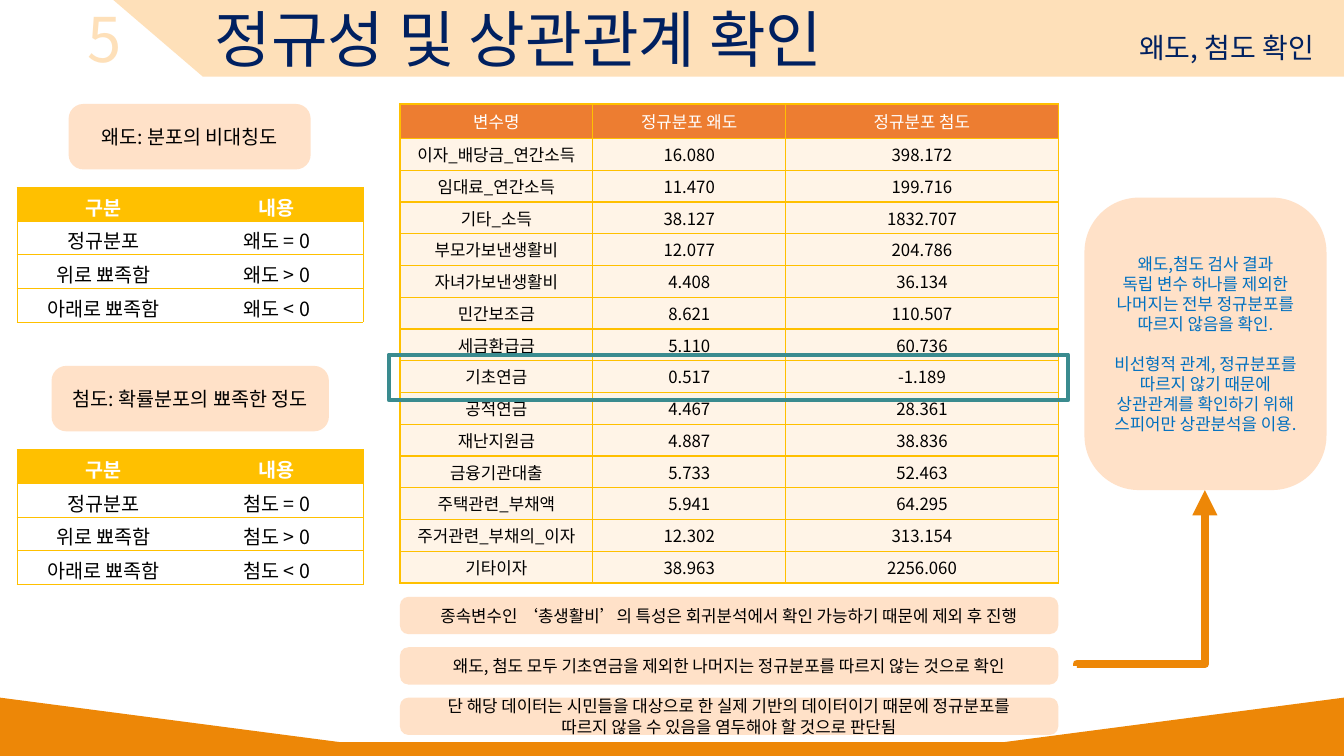
from dataclasses import dataclass

from lxml import etree
from pptx import Presentation
from pptx.dml.color import RGBColor
from pptx.enum import shapes, text
from pptx.oxml import ns
from pptx.util import Cm, Pt

FONT = "Noto Sans CJK KR"
NAVY, BLUE, BLACK, WHITE = "002060", "0070C0", "000000", "FFFFFF"
ORANGE, CREAM, PEACH, GOLD = "ED8707", "FEE0B9", "FFB577", "FFC000"
HEADER_ORANGE, CELL_CREAM, TEAL = "ED7D31", "FFF4E7", "3A8B8F"
SLIDE_WIDTH, SLIDE_HEIGHT = 33.87, 19.05
PANEL_LEFT, PANEL_WIDTH = 10.08, 16.59
SHAPE = shapes.MSO_SHAPE


@dataclass
class Box:
    left: float
    top: float
    width: float
    height: float

    def lengths(self) -> tuple:
        return Cm(self.left), Cm(self.top), Cm(self.width), Cm(self.height)


@dataclass
class Label:
    box: Box
    lines: list[str]
    size: int = 12
    color: str = BLACK
    gap_before: int | None = None


@dataclass
class Guide:
    measure: str
    top: float


def rgb(color: str) -> RGBColor:
    return RGBColor.from_string(color)


def sub(parent, tag: str, **attributes: str):
    return etree.SubElement(parent, ns.qn(tag), attributes)


def write(frame, lines: list[str], size: int, color: str, bold: bool = False) -> None:
    for index, line in enumerate(lines):
        paragraph = frame.paragraphs[0] if index == 0 else frame.add_paragraph()
        paragraph.text = line
        paragraph.alignment = text.PP_ALIGN.CENTER
        font = paragraph.font
        font.name, font.size, font.bold = FONT, Pt(size), bold
        font.color.rgb = rgb(color)
        sub(paragraph._p.pPr.find(ns.qn("a:defRPr")), "a:ea", typeface=FONT)


def add_shape(slide, kind, box: Box, fill: str | None, adjustment: float | None = None):
    shape = slide.shapes.add_shape(kind, *box.lengths())
    shape.shadow.inherit = False
    shape.line.fill.background()
    if fill:
        shape.fill.solid()
        shape.fill.fore_color.rgb = rgb(fill)
    else:
        shape.fill.background()
    if adjustment is not None:
        shape.adjustments[0] = adjustment
    return shape


def add_label(slide, label: Label) -> None:
    shape = add_shape(slide, SHAPE.ROUNDED_RECTANGLE, label.box, PEACH, 0.225)
    sub(shape._element.spPr.find(ns.qn("a:solidFill"))[0], "a:alpha", val="40000")
    frame = shape.text_frame
    frame.word_wrap = True
    frame.vertical_anchor = text.MSO_ANCHOR.MIDDLE
    write(frame, label.lines, label.size, label.color)
    if label.gap_before is not None:
        frame.paragraphs[label.gap_before].space_before = Pt(14)


def add_text(slide, box: Box, line: str, size: int, color: str):
    shape = slide.shapes.add_textbox(*box.lengths())
    shape.text_frame.word_wrap = True
    write(shape.text_frame, [line], size, color)
    return shape


def add_connector(slide, kind, start: tuple, end: tuple, width: int):
    points = [Cm(value) for value in start + end]
    connector = slide.shapes.add_connector(kind, *points)
    connector.line.color.rgb = rgb(ORANGE)
    connector.line.width = Pt(width)
    sub(connector._element.spPr, "a:effectLst")
    return connector


def set_borders(cell, sides: str, width: float) -> None:
    properties = cell._tc.get_or_add_tcPr()
    for side in "LRTB":
        line = sub(properties, f"a:ln{side}", w=str(Pt(width)))
        if side in sides:
            sub(sub(line, "a:solidFill"), "a:srgbClr", val=GOLD)
        else:
            sub(line, "a:noFill")


def add_table(slide, left: float, top: float, widths: list[float], heights: list[float]):
    box = Box(left, top, sum(widths), sum(heights))
    table = slide.shapes.add_table(len(heights), len(widths), *box.lengths()).table
    table.horz_banding = False
    for column, width in zip(table.columns, widths):
        column.width = Cm(width)
    for row, height in zip(table.rows, heights):
        row.height = Cm(height)
    return table


def fill_cell(cell, fill: str | None) -> None:
    if fill:
        cell.fill.solid()
        cell.fill.fore_color.rgb = rgb(fill)
    else:
        cell.fill.background()


def add_guide(slide, guide: Guide) -> None:
    rows = [("구분", "내용")] + [
        (shape_name, f"{guide.measure} {sign} 0")
        for shape_name, sign in (("정규분포", "="), ("위로 뾰족함", ">"), ("아래로 뾰족함", "<"))
    ]
    table = add_table(slide, 0.43, guide.top, [4.36] * 2, [3.38 / 4] * 4)
    for row_index, row in enumerate(rows):
        header = row_index == 0
        for column_index, value in enumerate(row):
            cell = table.cell(row_index, column_index)
            set_borders(cell, "TB" + "LR"[column_index], 0.5)
            fill_cell(cell, GOLD if header else None)
            write(cell.text_frame, [value], 14, WHITE if header else BLACK, header)


def add_results(slide, rows: list[tuple]) -> None:
    heights = [0.87] + [0.8] * (len(rows) - 1)
    table = add_table(slide, PANEL_LEFT, 2.62, [4.86, 4.86, 6.87], heights)
    for row_index, row in enumerate(rows):
        header = row_index == 0
        for column_index, value in enumerate(row):
            cell = table.cell(row_index, column_index)
            cell.margin_left = cell.margin_right = Cm(0.15)
            cell.margin_top = cell.margin_bottom = Cm(0.08)
            cell.vertical_anchor = text.MSO_ANCHOR.MIDDLE
            set_borders(cell, "LRTB", 1)
            fill_cell(cell, HEADER_ORANGE if header else CELL_CREAM)
            write(cell.text_frame, [value], 12, WHITE if header else BLACK)


RESULTS = [
    ("변수명", "정규분포 왜도", "정규분포 첨도"),
    ("이자_배당금_연간소득", "16.080", "398.172"),
    ("임대료_연간소득", "11.470", "199.716"),
    ("기타_소득", "38.127", "1832.707"),
    ("부모가보낸생활비", "12.077", "204.786"),
    ("자녀가보낸생활비", "4.408", "36.134"),
    ("민간보조금", "8.621", "110.507"),
    ("세금환급금", "5.110", "60.736"),
    ("기초연금", "0.517", "-1.189"),
    ("공적연금", "4.467", "28.361"),
    ("재난지원금", "4.887", "38.836"),
    ("금융기관대출", "5.733", "52.463"),
    ("주택관련_부채액", "5.941", "64.295"),
    ("주거관련_부채의_이자", "12.302", "313.154"),
    ("기타이자", "38.963", "2256.060"),
]
NOTES = [
    ["종속변수인 ‘총생활비’의 특성은 회귀분석에서 확인 가능하기 때문에 제외 후 진행"],
    ["왜도, 첨도 모두 기초연금을 제외한 나머지는 정규분포를 따르지 않는 것으로 확인"],
    ["단 해당 데이터는 시민들을 대상으로 한 실제 기반의 데이터이기 때문에 정규분포를",
     "따르지 않을 수 있음을 염두해야 할 것으로 판단됨"],
]
CONCLUSION = [
    "왜도,첨도 검사 결과",
    "독립 변수 하나를 제외한 나머지는 전부 정규분포를 따르지 않음을 확인.",
    "비선형적 관계, 정규분포를 따르지 않기 때문에",
    "상관관계를 확인하기 위해 스피어만 상관분석을 이용.",
]
LABELS = [
    Label(Box(1.73, 2.62, 6.1, 1.65), ["왜도: 분포의 비대칭도"], 14),
    Label(Box(1.3, 9.22, 6.99, 1.65), ["첨도: 확률분포의 뾰족한 정도"], 14),
    *(Label(Box(PANEL_LEFT, 15.04 + 1.27 * index, PANEL_WIDTH, 0.94), lines)
      for index, lines in enumerate(NOTES)),
    Label(Box(27.33, 4.98, 6.1, 7.37), CONCLUSION, color=BLUE, gap_before=2),
]


def main() -> None:
    presentation = Presentation()
    presentation.slide_width, presentation.slide_height = Cm(SLIDE_WIDTH), Cm(SLIDE_HEIGHT)
    slide = presentation.slides.add_slide(presentation.slide_layouts[5])

    # Header band and footer wedges
    band = add_shape(slide, SHAPE.TRAPEZOID, Box(1.91, -0.81, 35.41, 2.74), CREAM, 1.168)
    band.rotation = 180
    add_connector(slide, shapes.MSO_CONNECTOR.STRAIGHT, (0, 18.87), (SLIDE_WIDTH, 18.87), 10)
    for left in (0, SLIDE_WIDTH - 8.71):
        wedge = add_shape(slide, SHAPE.ISOSCELES_TRIANGLE, Box(left, 17.58, 8.71, 1.14), ORANGE, 0)
        if left:
            wedge._element.spPr.xfrm.set("flipH", "1")

    # Title, section number and topic
    title = slide.shapes.title
    title.left, title.top, title.width, title.height = Box(4.78, -0.1, PANEL_WIDTH, 2.13).lengths()
    title.text_frame.word_wrap = False
    title.text_frame.auto_size = text.MSO_AUTO_SIZE.NONE
    title.text_frame.vertical_anchor = text.MSO_ANCHOR.MIDDLE
    write(title.text_frame, ["정규성 및 상관관계 확인"], 44, NAVY)
    slide.shapes._spTree.append(title._element)
    add_text(slide, Box(1.64, -0.1, 2, 2.13), "5", 44, CREAM)
    add_text(slide, Box(28.35, 0.64, 5.13, 1.12), "왜도, 첨도 확인", 20, NAVY)

    # Tables and the highlighted row
    for guide in (Guide("왜도", 4.72), Guide("첨도", 11.33)):
        add_guide(slide, guide)
    add_results(slide, RESULTS)
    highlight = add_shape(slide, SHAPE.RECTANGLE, Box(9.8, 8.94, 17.12, 1.14), None)
    highlight.line.color.rgb = rgb(TEAL)
    highlight.line.width = Pt(3)

    # Rounded labels and the arrow to the conclusion
    for label in LABELS:
        add_label(slide, label)
    arrow = add_connector(slide, shapes.MSO_CONNECTOR.ELBOW, (30.96, 16.18), (26.54, 12.95), 6)
    arrow._element.spPr.xfrm.set("rot", "5400000")
    guides = arrow._element.spPr.find(ns.qn("a:prstGeom")).get_or_add_avLst()
    sub(guides, "a:gd", name="adj1", fmla="val 1000")
    sub(arrow.line._get_or_add_ln(), "a:tailEnd", type="triangle")

    presentation.save("out.pptx")


if __name__ == "__main__":
    main()
